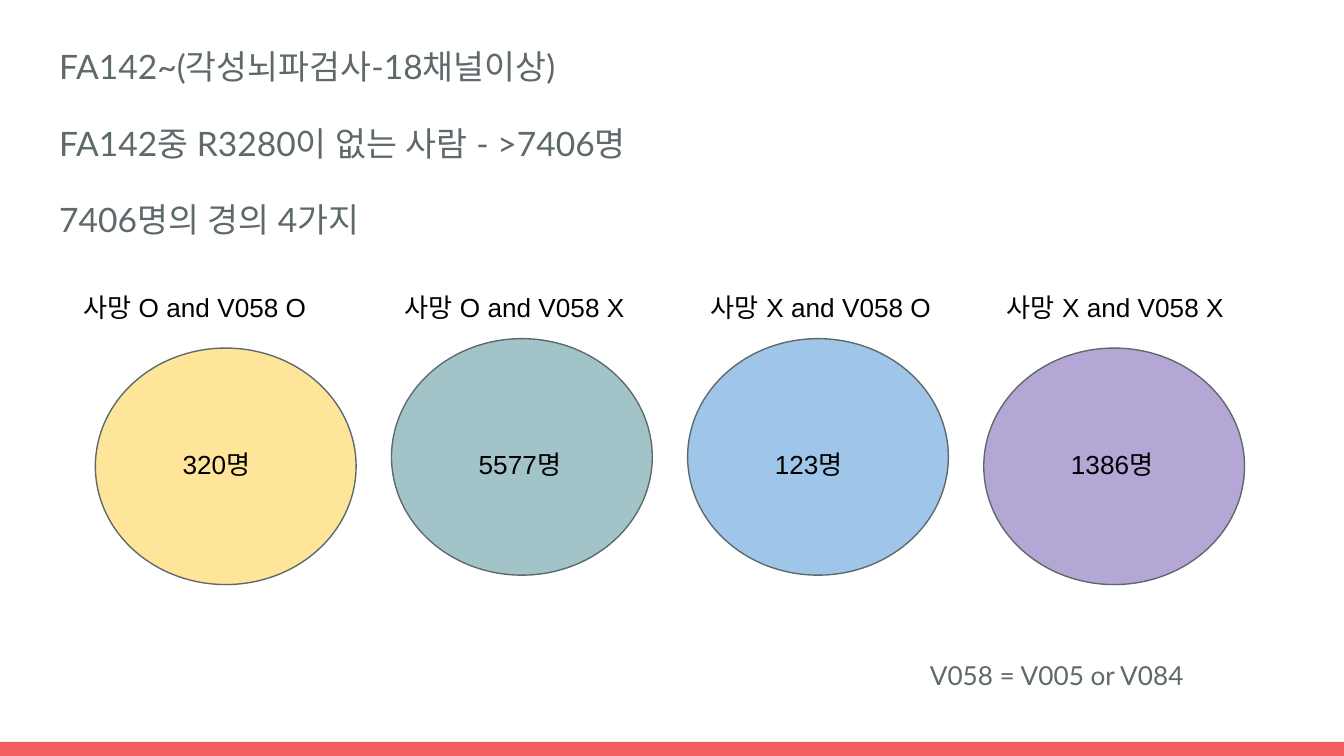
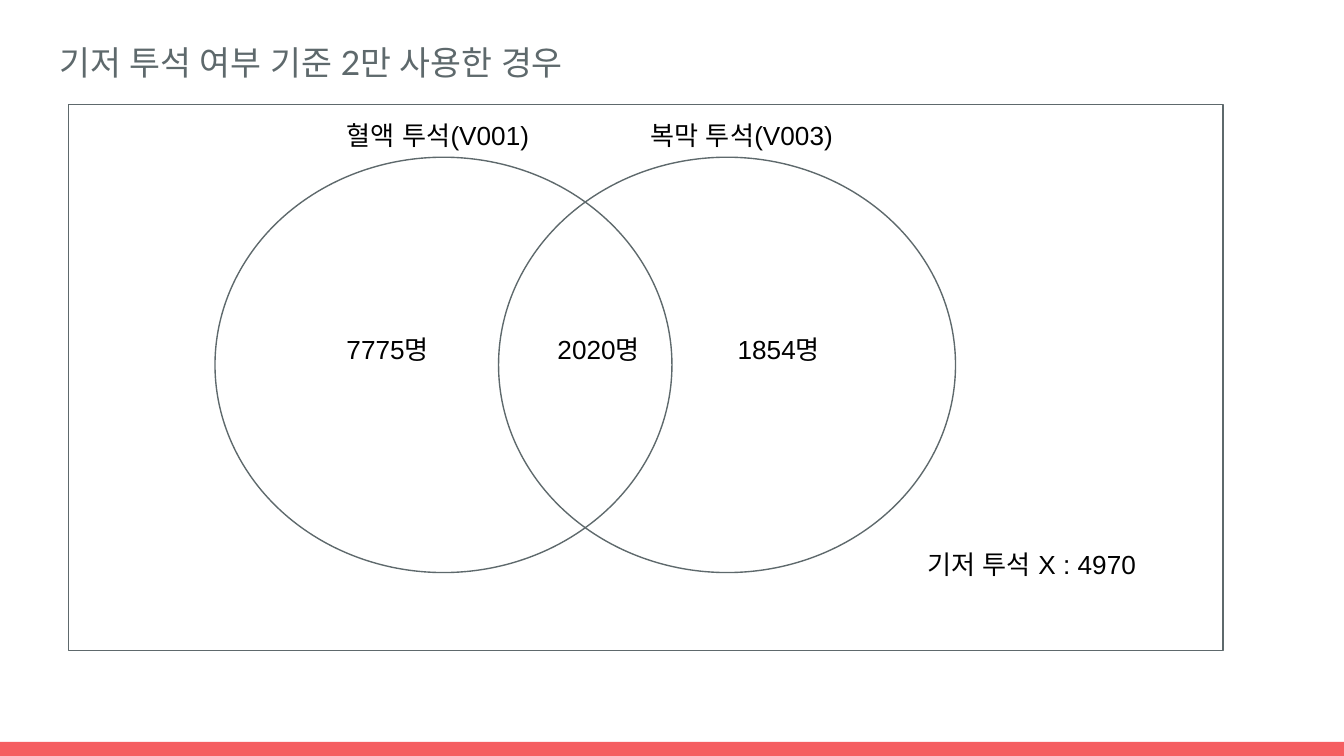
from pptx import Presentation
from pptx import util as u
from pptx.dml import color
from pptx.enum import shapes, text
from pptx.oxml import ns
from lxml import etree

COLORS = {
    "band": "F55E61",
    "slate": "5E696C",
    "black": "000000",
    "yellow": "FFE599",
    "teal": "A2C4C9",
    "blue": "9FC5E8",
    "purple": "B4A7D6",
}


class Builder:
    def __init__(self):
        self.deck = Presentation()
        self.deck.slide_width = u.Inches(10)
        self.deck.slide_height = u.Inches(10) * 9 // 16
        self.page = None

    def color(self, name):
        return color.RGBColor.from_string(COLORS[name])

    def new_page(self):
        self.page = self.deck.slides.add_slide(self.deck.slide_layouts[1])
        title = self.page.shapes.title
        title.element.getparent().remove(title.element)
        self.shape(shapes.MSO_SHAPE.RECTANGLE, 0, 5.52, 10, 0.11, fill="band", line=None)

    def shape(self, kind, left, top, width, height, fill=None, line="slate"):
        box = self.page.shapes.add_shape(
            kind, u.Inches(left), u.Inches(top), u.Inches(width), u.Inches(height))
        box.shadow.inherit = False
        if fill:
            box.fill.solid()
            box.fill.fore_color.rgb = self.color(fill)
        else:
            box.fill.background()
        if line:
            box.line.color.rgb = self.color(line)
            box.line.width = u.Pt(0.75)
        else:
            box.line.fill.background()

    def frame(self, box):
        frame = box.text_frame
        frame.word_wrap = True
        frame.auto_size = text.MSO_AUTO_SIZE.NONE
        frame.vertical_anchor = text.MSO_ANCHOR.TOP
        frame.margin_left = frame.margin_right = u.Inches(0.1)
        frame.margin_top = frame.margin_bottom = u.Inches(0.1)
        return frame

    def run(self, para, words, size, font, ink):
        span = para.add_run()
        span.text = words
        span.font.size = u.Pt(size)
        span.font.color.rgb = self.color(ink)
        span.font.name = font
        east_asian = etree.SubElement(span._r.get_or_add_rPr(), ns.qn("a:ea"))
        east_asian.set("typeface", font)

    def body(self, top, height, lines):
        box = self.page.placeholders[1]
        box.left, box.top = u.Inches(0.34), u.Inches(top)
        box.width, box.height = u.Inches(9.32), u.Inches(height)
        frame = self.frame(box)
        for index, words in enumerate(lines):
            para = frame.add_paragraph() if index else frame.paragraphs[0]
            properties = para._p.get_or_add_pPr()
            properties.set("marL", "0")
            properties.set("indent", "0")
            etree.SubElement(properties, ns.qn("a:buNone"))
            para.line_spacing = 1.15
            para.space_before = u.Pt(16 if index else 0)
            self.run(para, words, 18, "Lato", "slate")

    def label(self, words, left, top, width, height, font="Arial", ink="black", spacing=1.0):
        box = self.page.shapes.add_textbox(
            u.Inches(left), u.Inches(top), u.Inches(width), u.Inches(height))
        para = self.frame(box).paragraphs[0]
        para.line_spacing = spacing
        self.run(para, words, 14, font, ink)


def build_groups(builder):
    builder.new_page()
    builder.body(0.2, 5.1, [
        "FA142~(각성뇌파검사-18채널이상)",
        "FA142중 R3280이 없는 사람 - >7406명",
        "7406명의 경의 4가지",
    ])
    groups = [
        ("사망 O and V058 O", "320명", "yellow", 0.52, 2.59),
        ("사망 O and V058 X", "5577명", "teal", 2.91, 2.52),
        ("사망 X and V058 O", "123명", "blue", 5.19, 2.52),
        ("사망 X and V058 X", "1386명", "purple", 7.39, 2.59),
    ]
    first, last = 0.71, 7.32
    pitch = (last - first) / (len(groups) - 1)
    for index, (name, count, fill, name_left, top) in enumerate(groups):
        left = first + pitch * index
        builder.shape(shapes.MSO_SHAPE.OVAL, left, top, 1.94, 1.76, fill=fill)
        builder.label(name, name_left, 2.07, 2.14, 0.46)
        builder.label(count, left + 0.55, 3.24, 0.85, 0.46)
    builder.label("V058 = V005 or V084", 6.82, 4.77, 2.31, 0.46,
                  font="Lato", ink="slate", spacing=1.15)


def build_venn(builder):
    builder.new_page()
    builder.body(0.17, 4.85, ["기저 투석 여부 기준 2만 사용한 경우"])
    builder.shape(shapes.MSO_SHAPE.RECTANGLE, 0.51, 0.78, 8.59, 4.06)
    for name, circle_left, name_left in [
        ("혈액 투석(V001)", 1.6, 2.48),
        ("복막 투석(V003)", 3.71, 4.74),
    ]:
        builder.shape(shapes.MSO_SHAPE.OVAL, circle_left, 1.17, 3.4, 3.09)
        builder.label(name, name_left, 0.79, 1.9, 0.44)
    for count, left, width in [
        ("7775명", 2.48, 1.9),
        ("2020명", 4.05, 1.34),
        ("1854명", 5.39, 1.34),
    ]:
        builder.label(count, left, 2.38, width, 0.44)
    builder.label("기저 투석 X : 4970", 6.8, 3.98, 2.13, 0.62)


def main():
    builder = Builder()
    build_groups(builder)
    build_venn(builder)
    builder.deck.save("out.pptx")


if __name__ == "__main__":
    main()
